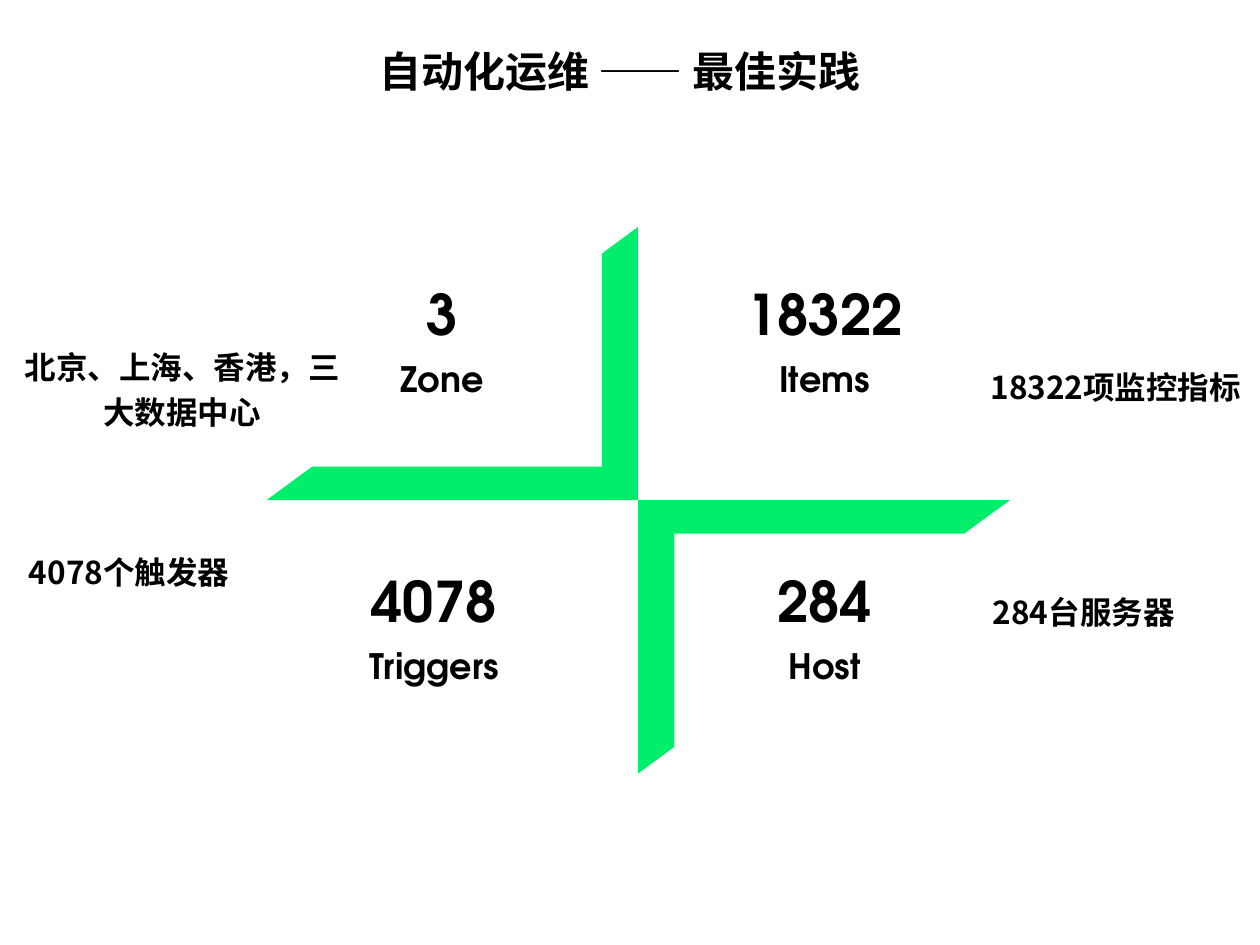
"""Build a slide of four monitoring figures around a green pinwheel."""
from lxml.etree import SubElement
from pptx import Presentation
from pptx.dml.color import RGBColor
from pptx.enum.shapes import MSO_SHAPE
from pptx.enum.text import MSO_ANCHOR, MSO_AUTO_SIZE, PP_ALIGN
from pptx.oxml.ns import qn
from pptx.util import Pt

BLACK = RGBColor(0x00, 0x00, 0x00)
GREEN = RGBColor(0x00, 0xEE, 0x6C)
CHINESE_FONT = "Noto Sans CJK SC"
LATIN_FONT = "TeX Gyre Adventor"


def write_text(shape, text, *, size, font=CHINESE_FONT, align=PP_ALIGN.CENTER,
               spacing=1.0, anchor=MSO_ANCHOR.TOP):
    frame = shape.text_frame
    frame.word_wrap = True
    frame.auto_size = MSO_AUTO_SIZE.NONE
    frame.vertical_anchor = anchor
    paragraph = frame.paragraphs[0]
    paragraph.alignment = align
    paragraph.line_spacing = spacing
    run = paragraph.add_run()
    run.text = text
    run.font.size = Pt(size)
    run.font.bold = True
    run.font.name = font
    run.font.color.rgb = BLACK
    SubElement(run.font._element, qn("a:ea"), typeface=font)


presentation = Presentation()
presentation.slide_width, presentation.slide_height = Pt(720), Pt(540)
slide = presentation.slides.add_slide(presentation.slide_layouts[5])

title = slide.shapes.title
title.left, title.top, title.width, title.height = Pt(209.5), Pt(22.3), Pt(329), Pt(36)
write_text(title, "自动化运维 —— 最佳实践", size=24, align=PP_ALIGN.LEFT,
           anchor=MSO_ANCHOR.MIDDLE)

center_x, center_y = 364.7, 285.8
arm_width, arm_height = 212.4, 156.2
for left, top, rotation in (
    (center_x - arm_width, center_y - arm_height, 180),
    (center_x, center_y, 0),
):
    arm = slide.shapes.add_shape(MSO_SHAPE.HALF_FRAME, Pt(left), Pt(top),
                                 Pt(arm_width), Pt(arm_height))
    arm.rotation = rotation
    arm.adjustments[0], arm.adjustments[1] = 0.123, 0.132
    arm.fill.solid()
    arm.fill.fore_color.rgb = GREEN
    arm.line.fill.background()
    arm.shadow.inherit = False

upper_row, lower_row = 156.2, 320.4
for number, label, middle, top in (
    ("3", "Zone", 252.5, upper_row),
    ("18322", "Items", 471.2, upper_row),
    ("4078", "Triggers", 248.2, lower_row),
    ("284", "Host", 471.2, lower_row),
):
    group = slide.shapes.add_group_shape()
    for text, size, offset, width, height in (
        (number, 32, 0, 118, 46),
        (label, 20, 44.4, 100, 31.5),
    ):
        box = group.shapes.add_textbox(Pt(middle - width / 2), Pt(top + offset),
                                       Pt(width), Pt(height))
        write_text(box, text, size=size, font=LATIN_FONT)

for text, left, top, width, height in (
    ("北京、上海、香港，三大数据中心", 5, 190.8, 198, 60),
    ("18322项监控指标", 553.7, 202.3, 167.8, 31),
    ("4078个触发器", 4.3, 308.2, 139, 31),
    ("284台服务器", 558.7, 331.2, 121, 31),
):
    note = slide.shapes.add_textbox(Pt(left), Pt(top), Pt(width), Pt(height))
    write_text(note, text, size=18, spacing=1.2)

presentation.save("out.pptx")
